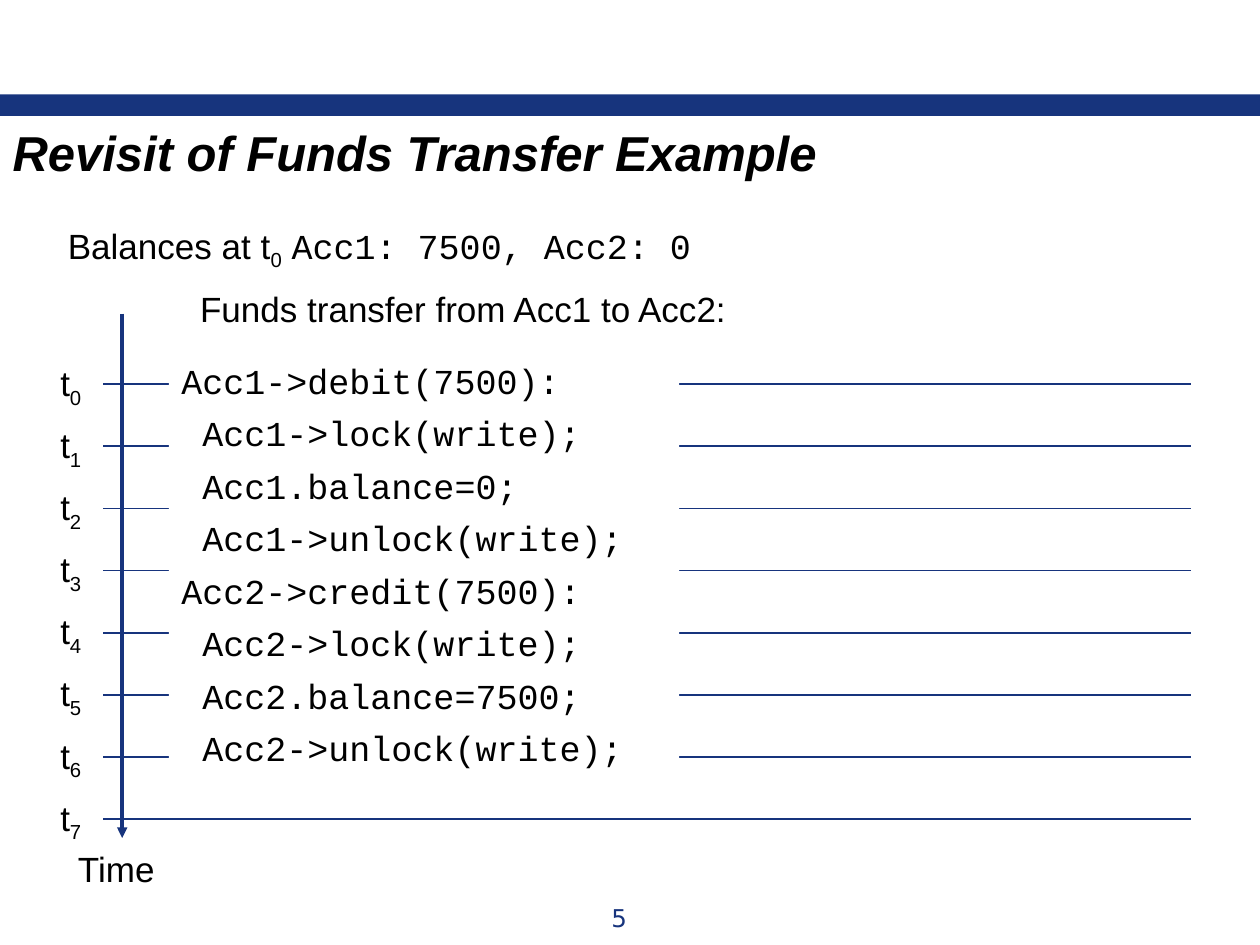
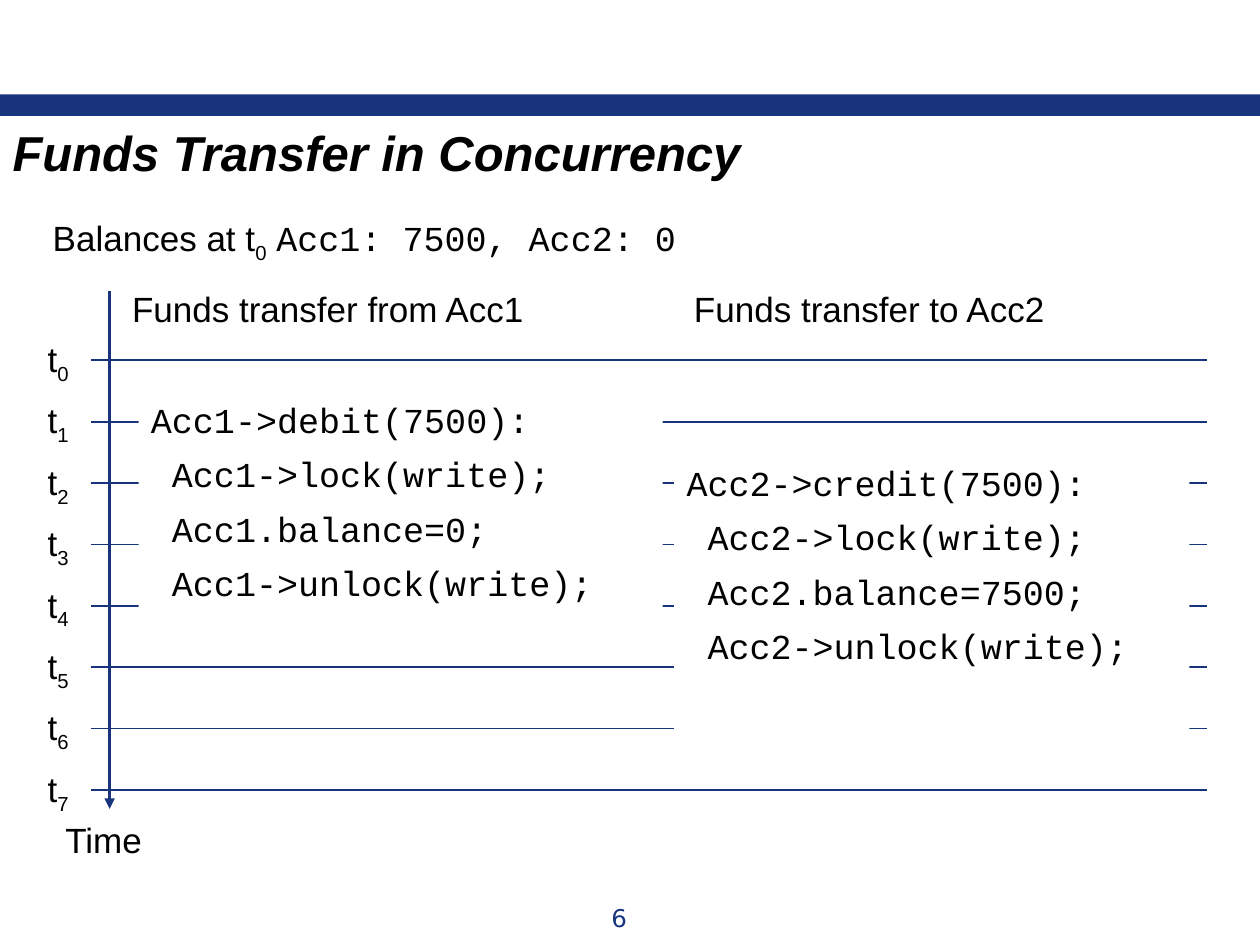
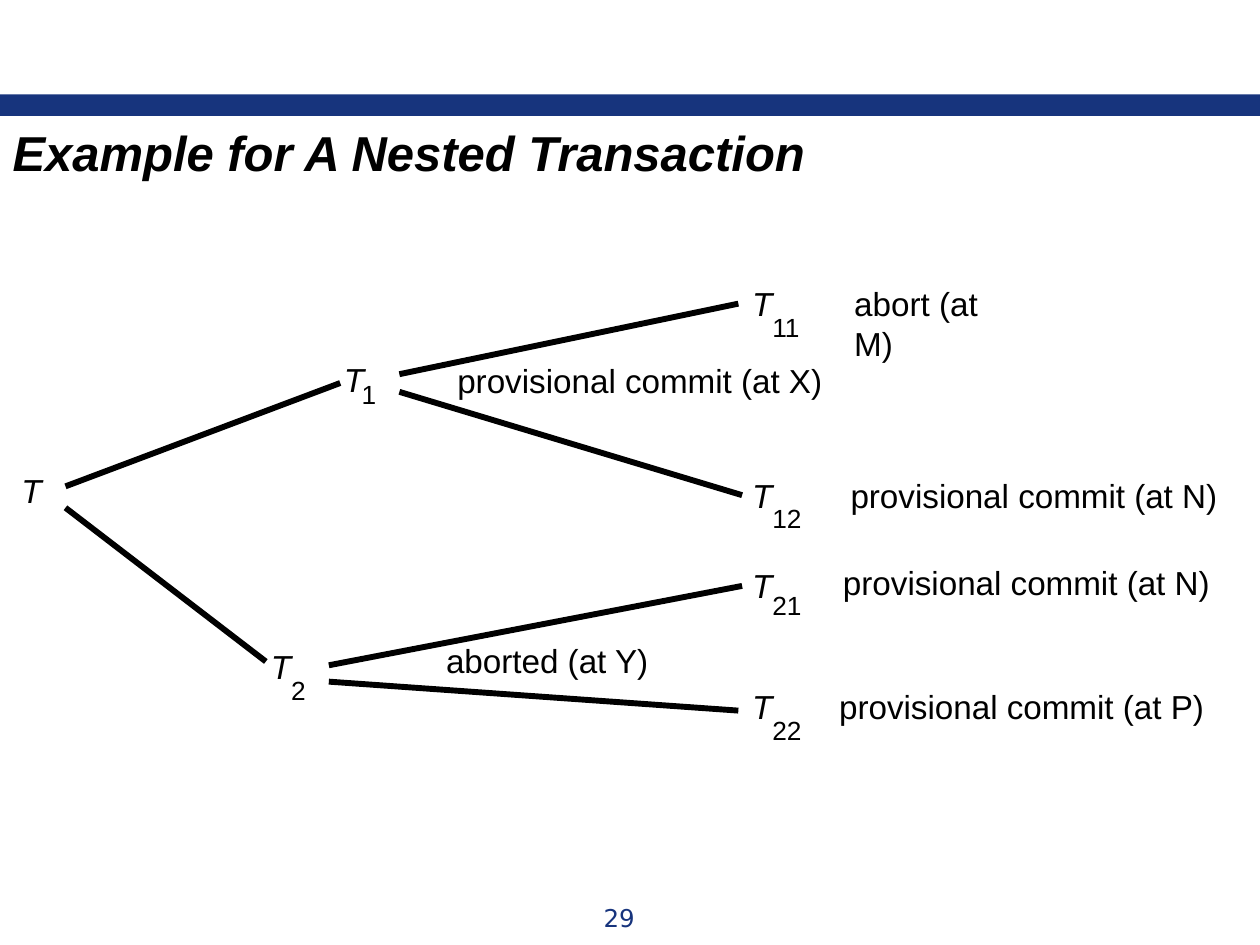
from dataclasses import dataclass
from typing import NamedTuple

from lxml.etree import SubElement
from pptx import Presentation
from pptx.dml.color import RGBColor
from pptx.enum.shapes import MSO_CONNECTOR, MSO_SHAPE
from pptx.enum.text import MSO_ANCHOR, MSO_AUTO_SIZE, PP_ALIGN
from pptx.oxml.ns import qn
from pptx.util import Inches, Pt

COLORS = {"navy": "17347D", "black": "000000", "white": "FFFFFF"}
SANS, MONO, PAGE_FONT = "Arial", "Courier New", "DejaVu Sans"
TITLE_ONLY = 5


class Box(NamedTuple):
    left: float
    top: float
    width: float
    height: float


class Point(NamedTuple):
    x: float
    y: float


class TextRun(NamedTuple):
    text: str
    font: str = SANS
    subscript: bool = False


@dataclass
class CodeBlock:
    box: Box
    spacing: float
    lines: list[str]


@dataclass
class Timeline:
    title: str
    page: int
    axis: float
    axis_top: float
    axis_bottom: float
    first_tick: float
    last_tick: float
    tick_end: float
    balances: Box
    headings: list[tuple[str, Box]]
    code_blocks: list[CodeBlock]


@dataclass
class TreeNode:
    at: Point
    index: str = ""
    status: str = ""
    status_box: Box | None = None
    index_right: float = 0.16
    index_drop: float = 0.22


def color(name: str) -> RGBColor:
    return RGBColor.from_string(COLORS[name])


def place(shape, box: Box) -> None:
    shape.left, shape.top, shape.width, shape.height = map(Inches, box)


def style(paragraph, size: float, font: str | None = SANS, ink: str = "black",
          bold: bool | None = None, italic: bool | None = None) -> None:
    paragraph.font.size = Pt(size)
    paragraph.font.color.rgb = color(ink)
    paragraph.font.bold = bold
    paragraph.font.italic = italic
    if font:
        paragraph.font.name = font


def add_rectangle(slide, box: Box, fill: str):
    shape = slide.shapes.add_shape(MSO_SHAPE.RECTANGLE, *map(Inches, box))
    shape.shadow.inherit = False
    shape.fill.solid()
    shape.fill.fore_color.rgb = color(fill)
    shape.line.fill.background()
    return shape


def add_label(slide, box: Box, runs: str | list[TextRun], size: float = 20,
              margin: bool = True, italic: bool = False) -> None:
    frame = slide.shapes.add_textbox(*map(Inches, box)).text_frame
    frame.word_wrap = False
    frame.auto_size = MSO_AUTO_SIZE.SHAPE_TO_FIT_TEXT
    if not margin:
        frame.margin_left = frame.margin_right = 0
        frame.margin_top = frame.margin_bottom = 0
    paragraph = frame.paragraphs[0]
    runs = [TextRun(runs)] if isinstance(runs, str) else runs
    fonts = {part.font for part in runs}
    style(paragraph, size, runs[0].font if len(fonts) == 1 else None, italic=italic)
    for part in runs:
        run = paragraph.add_run()
        run.text = part.text
        if len(fonts) > 1:
            run.font.name = part.font
        if part.subscript:
            run.font._element.set("baseline", "-25000")


def add_line(slide, start: Point, end: Point, ink: str, width: float,
             arrow: bool = False) -> None:
    connector = slide.shapes.add_connector(
        MSO_CONNECTOR.STRAIGHT, *map(Inches, (*start, *end)))
    connector.line.color.rgb = color(ink)
    connector.line.width = Pt(width)
    if arrow:
        SubElement(connector.line._get_or_add_ln(), qn("a:tailEnd"), type="triangle")
    SubElement(connector._element.spPr, qn("a:effectLst"))


def add_band(presentation, slide) -> None:
    """Put the band on the layout, so that every slide shows it."""
    band = add_rectangle(slide, Box(0, 0.75, 10, 0.17), "navy")
    presentation.slide_layouts[TITLE_ONLY].shapes.element.append(band.element)


def add_slide(presentation, title: str, page: int):
    slide = presentation.slides.add_slide(presentation.slide_layouts[TITLE_ONLY])
    if len(presentation.slides) == 1:
        add_band(presentation, slide)

    # Title
    place(slide.shapes.title, Box(0, 0.92, 10, 0.57))
    frame = slide.shapes.title.text_frame
    frame.text = title
    frame.word_wrap = True
    frame.auto_size = MSO_AUTO_SIZE.NONE
    frame.vertical_anchor = MSO_ANCHOR.TOP
    frame.paragraphs[0].alignment = PP_ALIGN.LEFT
    style(frame.paragraphs[0], 28, bold=True, italic=True)

    # Page number
    frame = slide.shapes.add_textbox(*map(Inches, Box(3.75, 7.12, 2.33, 0.34))).text_frame
    frame.word_wrap = True
    frame.text = str(page)
    frame.paragraphs[0].alignment = PP_ALIGN.CENTER
    style(frame.paragraphs[0], 14, PAGE_FONT, "navy")
    return slide


def add_code(slide, block: CodeBlock) -> None:
    frame = add_rectangle(slide, block.box, "white").text_frame
    frame.word_wrap = True
    frame.vertical_anchor = MSO_ANCHOR.TOP
    frame.text = "\n".join(block.lines)
    for paragraph in frame.paragraphs:
        paragraph.alignment = PP_ALIGN.LEFT
        paragraph.line_spacing = block.spacing
        style(paragraph, 20, MONO)


def add_timeline(presentation, timeline: Timeline) -> None:
    slide = add_slide(presentation, timeline.title, timeline.page)
    axis = timeline.axis

    # Time axis with ticks t0 to t7
    add_line(slide, Point(axis, timeline.axis_top), Point(axis, timeline.axis_bottom),
             "navy", 2, arrow=True)
    add_label(slide, Box(axis - 0.45, timeline.axis_bottom + 0.03, 0.81, 0.44), "Time")
    step = (timeline.last_tick - timeline.first_tick) / 7
    for number in range(8):
        y = timeline.first_tick + number * step
        add_line(slide, Point(axis - 0.15, y), Point(timeline.tick_end, y), "navy", 1)
        add_label(slide, Box(axis - 0.59, y - 0.23, 0.38, 0.44),
                  [TextRun("t"), TextRun(str(number), subscript=True)])

    # Balances, headings and code
    add_label(slide, timeline.balances, [
        TextRun("Balances at t"), TextRun("0", subscript=True), TextRun(" "),
        TextRun("Acc1: 7500, Acc2: 0", MONO)])
    for text, box in timeline.headings:
        add_label(slide, box, text)
    for block in timeline.code_blocks:
        add_code(slide, block)


def add_tree(presentation, title: str, page: int, nodes: list[TreeNode],
             branches: list[tuple[Point, Point]]) -> None:
    slide = add_slide(presentation, title, page)
    for start, end in branches:
        add_line(slide, start, end, "black", 3.38)
    for node in nodes:
        x, y = node.at
        add_label(slide, Box(x, y, 0.16, 0.33), "T", 19, margin=False, italic=True)
        if node.index:
            index_box = Box(x + node.index_right, y + node.index_drop,
                            0.12 * len(node.index), 0.26)
            add_label(slide, index_box, node.index, 15, margin=False)
        if node.status_box:
            add_label(slide, node.status_box, node.status, 19, margin=False)


DEBIT = ["Acc1->debit(7500):", " Acc1->lock(write);",
         " Acc1.balance=0;", " Acc1->unlock(write);"]
CREDIT = ["Acc2->credit(7500):", " Acc2->lock(write);",
          " Acc2.balance=7500;", " Acc2->unlock(write);"]

TIMELINES = [
    Timeline(
        "Revisit of Funds Transfer Example", 5, axis=0.97, axis_top=2.49,
        axis_bottom=6.65, first_tick=3.05, last_tick=6.5, tick_end=9.45,
        balances=Box(0.44, 1.73, 5.27, 0.44),
        headings=[("Funds transfer from Acc1 to Acc2:", Box(1.49, 2.23, 4.4, 0.44))],
        code_blocks=[CodeBlock(Box(1.34, 2.72, 4.05, 3.46), 1.25, DEBIT + CREDIT)]),
    Timeline(
        "Funds Transfer in Concurrency", 6, axis=0.87, axis_top=2.31,
        axis_bottom=6.42, first_tick=2.86, last_tick=6.27, tick_end=9.58,
        balances=Box(0.32, 1.67, 5.2, 0.43),
        headings=[("Funds transfer from Acc1", Box(0.95, 2.23, 3.33, 0.43)),
                  ("Funds transfer to Acc2", Box(5.41, 2.23, 3, 0.43))],
        code_blocks=[CodeBlock(Box(1.1, 3.01, 4.16, 1.85), 1.3, DEBIT),
                     CodeBlock(Box(5.35, 3.51, 4.09, 2.29), 1.3, CREDIT)]),
]

NODES = [
    TreeNode(Point(0.17, 3.73)),
    TreeNode(Point(2.73, 2.85), "1", "provisional commit (at X)",
             Box(3.63, 2.86, 2.9, 0.33), index_right=0.14, index_drop=0.15),
    TreeNode(Point(2.15, 5.13), "2", "aborted (at Y)", Box(3.54, 5.08, 1.61, 0.33)),
    TreeNode(Point(5.97, 2.25), "11", "abort (at M)", Box(6.78, 2.25, 1.36, 0.33)),
    TreeNode(Point(5.97, 3.77), "12", "provisional commit (at N)",
             Box(6.75, 3.77, 2.92, 0.33)),
    TreeNode(Point(5.97, 4.49), "21", "provisional commit (at N)",
             Box(6.69, 4.46, 2.92, 0.33), index_drop=0.19),
    TreeNode(Point(5.97, 5.45), "22", "provisional commit (at P)",
             Box(6.66, 5.45, 2.9, 0.33)),
]
BRANCHES = [
    (Point(0.52, 3.86), Point(2.7, 3.04)),
    (Point(0.52, 4.03), Point(2.11, 5.25)),
    (Point(3.17, 2.97), Point(5.86, 2.41)),
    (Point(3.17, 3.11), Point(5.89, 3.93)),
    (Point(2.61, 5.28), Point(5.89, 4.65)),
    (Point(2.61, 5.41), Point(5.86, 5.64)),
]


def main() -> None:
    presentation = Presentation()
    presentation.slide_width, presentation.slide_height = Inches(10), Inches(7.5)
    for timeline in TIMELINES:
        add_timeline(presentation, timeline)
    add_tree(presentation, "Example for A Nested Transaction", 29, NODES, BRANCHES)
    presentation.save("out.pptx")


if __name__ == "__main__":
    main()
